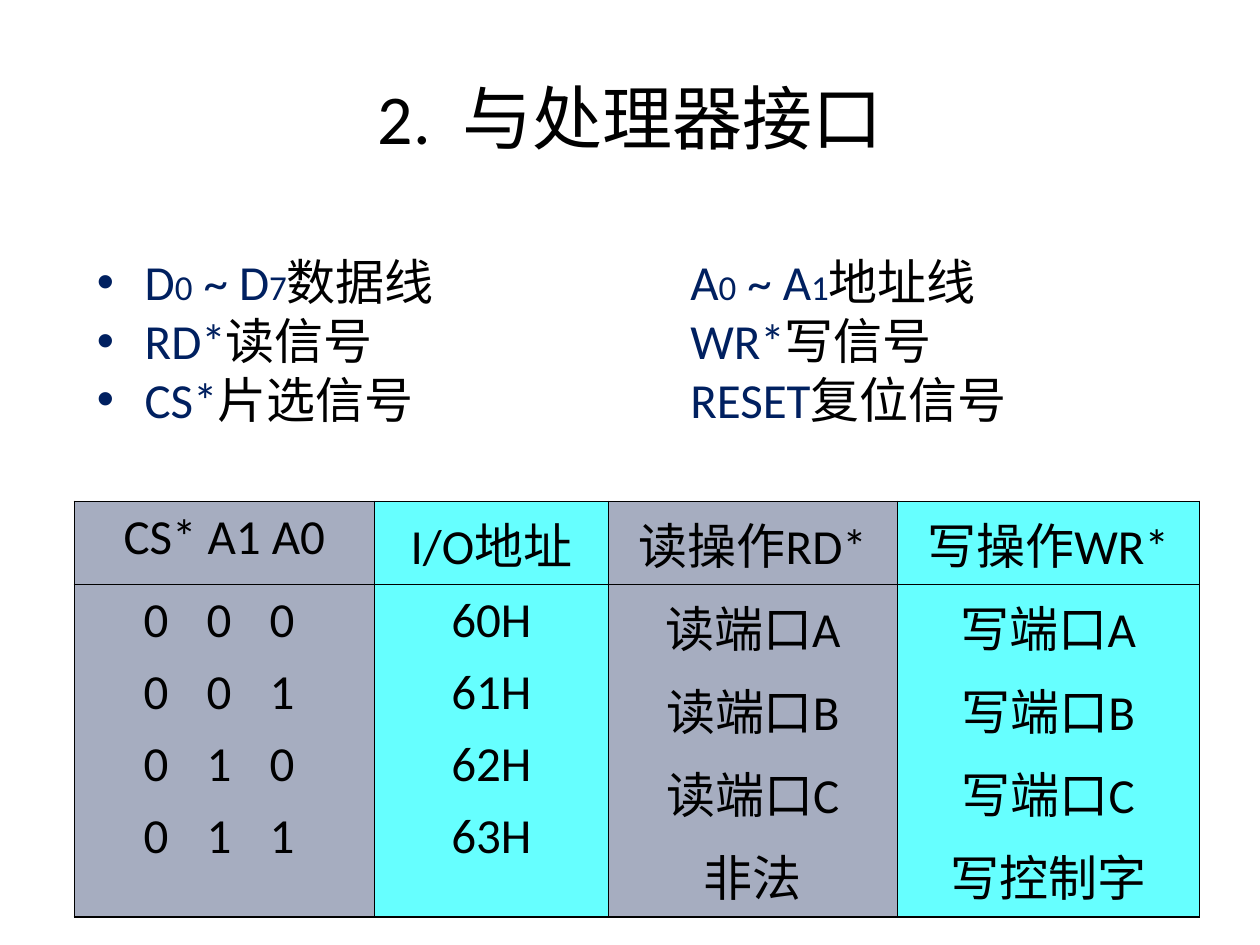
"""Build the slide on the processor interface signals and port addresses."""
from lxml.etree import SubElement
from pptx import Presentation
from pptx.dml.color import RGBColor
from pptx.enum.text import MSO_ANCHOR, PP_ALIGN
from pptx.oxml import parse_xml
from pptx.oxml.ns import nsdecls, qn
from pptx.util import Inches, Pt

BLACK = RGBColor(0x00, 0x00, 0x00)
NAVY = RGBColor(0x00, 0x20, 0x60)
GRAY = RGBColor(0xA6, 0xAD, 0xC0)
CYAN = RGBColor(0x66, 0xFF, 0xFF)
LATIN_FONT = "Calibri"
CHINESE_FONT = "Times New Roman"

TITLE = ("2.", " ", "与处理器接口")
SIGNALS = [
    (([("D", 28), ("0", 20), (" ~ D", 28), ("7", 20)], "数据线"),
     ([("A", 28), ("0", 20), (" ~ A", 28), ("1", 20)], "地址线")),
    (([("RD*", 28)], "读信号"), ([("WR*", 28)], "写信号")),
    (([("CS*", 28)], "片选信号"), ([("RESET", 28)], "复位信号")),
]
COLUMNS = [
    (2.38, GRAY, "CS* A1 A0", ["0\t0\t0", "0\t0\t1", "0\t1\t0", "0\t1\t1"]),
    (1.86, CYAN, "I/O地址", ["60H", "61H", "62H", "63H"]),
    (2.29, GRAY, "读操作RD*", ["读端口A", "读端口B", "读端口C", "非法"]),
    (2.4, CYAN, "写操作WR*", ["写端口A", "写端口B", "写端口C", "写控制字"]),
]
ROW_HEIGHTS = [0.66, 2.64]
BIT_INDENT, BIT_TABS = 0.45, [1.0, 1.55]
SIGNAL_INDENT, SIGNAL_TABS = 0.38, [4.71]


def add_run(paragraph, text, size, color=BLACK, font_name=LATIN_FONT):
    run = paragraph.add_run()
    run.text = text
    run.font.size = Pt(size)
    run.font.name = font_name
    run.font.color.rgb = color
    return run


def add_text_frame(slide, left, top, width, height, anchor):
    box = slide.shapes.add_textbox(*map(Inches, (left, top, width, height)))
    box.text_frame.word_wrap = True
    box.text_frame.vertical_anchor = anchor
    return box.text_frame


def set_layout(paragraph, indent, hanging, tabs, bullet=None):
    properties = paragraph._p.get_or_add_pPr()
    properties.set("marL", str(Inches(indent)))
    properties.set("indent", str(-Inches(hanging)))
    if bullet:
        color = SubElement(properties, qn("a:buClr"))
        SubElement(color, qn("a:srgbClr"), val=str(NAVY))
        SubElement(properties, qn("a:buFont"), typeface="Arial")
        SubElement(properties, qn("a:buChar"), char=bullet)
    tab_list = SubElement(properties, qn("a:tabLst"))
    for position in tabs:
        SubElement(tab_list, qn("a:tab"), pos=str(Inches(position)), algn="l")


def set_borders(cell, outer_sides):
    properties = cell._tc.get_or_add_tcPr()
    for index, side in enumerate("LRTB"):
        width = Pt(1.08 if side in outer_sides else 0.75)
        properties.insert(index, parse_xml(
            f'<a:ln{side} {nsdecls("a")} w="{width}"><a:solidFill>'
            f'<a:srgbClr val="{BLACK}"/></a:solidFill></a:ln{side}>'))


def fill_cell(cell, lines, color):
    cell.fill.solid()
    cell.fill.fore_color.rgb = color
    frame = cell.text_frame
    for index, line in enumerate(lines):
        paragraph = frame.add_paragraph() if index else frame.paragraphs[0]
        paragraph.space_before = Pt(7)
        if "\t" in line:
            paragraph.alignment = PP_ALIGN.LEFT
            set_layout(paragraph, BIT_INDENT, 0, BIT_TABS)
        else:
            paragraph.alignment = PP_ALIGN.CENTER
        add_run(paragraph, line, 28)


def add_title(slide):
    frame = add_text_frame(slide, 0.5, 0.3, 9, 1.25, MSO_ANCHOR.MIDDLE)
    paragraph = frame.paragraphs[0]
    paragraph.alignment = PP_ALIGN.CENTER
    number, gap, heading = [add_run(paragraph, part, 40) for part in TITLE]
    gap._r.get_or_add_rPr().set("spc", "900")


def add_port_table(slide):
    widths = [column[0] for column in COLUMNS]
    frame = slide.shapes.add_table(
        len(ROW_HEIGHTS), len(COLUMNS), Inches(0.59), Inches(3.98),
        Inches(sum(widths)), Inches(sum(ROW_HEIGHTS)))
    table = frame.table
    for row, height in zip(table.rows, ROW_HEIGHTS):
        row.height = Inches(height)
    for index, (width, color, heading, values) in enumerate(COLUMNS):
        table.columns[index].width = Inches(width)
        side = {0: "L", len(COLUMNS) - 1: "R"}.get(index, "")
        for row, (lines, edge) in enumerate([([heading], "T"), (values, "B")]):
            cell = table.cell(row, index)
            fill_cell(cell, lines, color)
            set_borders(cell, side + edge)


def add_signals(slide):
    frame = add_text_frame(slide, 0.67, 1.95, 8.85, 1.61, MSO_ANCHOR.TOP)
    for index, pair in enumerate(SIGNALS):
        paragraph = frame.add_paragraph() if index else frame.paragraphs[0]
        set_layout(paragraph, SIGNAL_INDENT, SIGNAL_INDENT, SIGNAL_TABS, "•")
        for (name_parts, meaning), ending in zip(pair, ("\t", "")):
            for text, size in name_parts:
                add_run(paragraph, text, size, NAVY)
            add_run(paragraph, meaning + ending, 28, BLACK, CHINESE_FONT)


def main():
    presentation = Presentation()
    presentation.slide_width = Inches(10)
    presentation.slide_height = Inches(7.5)
    slide = presentation.slides.add_slide(presentation.slide_layouts[6])
    add_title(slide)
    add_port_table(slide)
    add_signals(slide)
    presentation.save("out.pptx")


if __name__ == "__main__":
    main()
